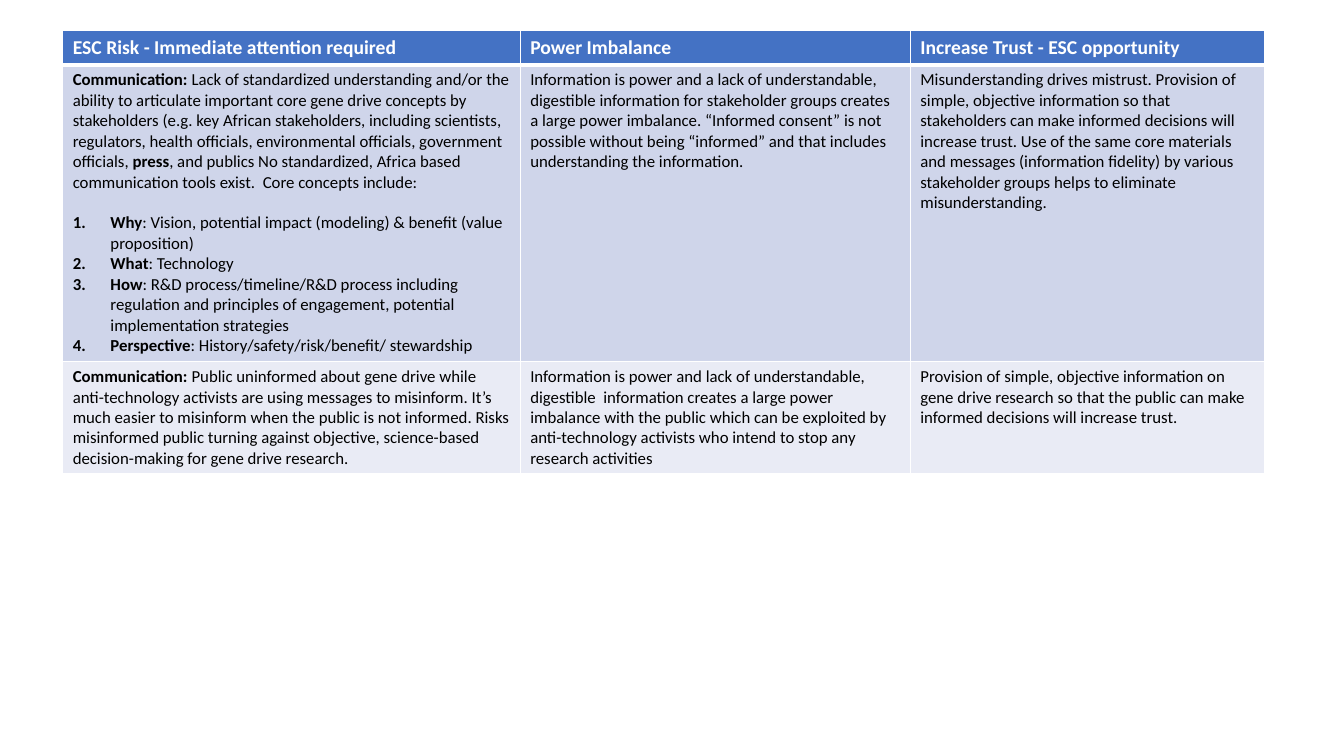
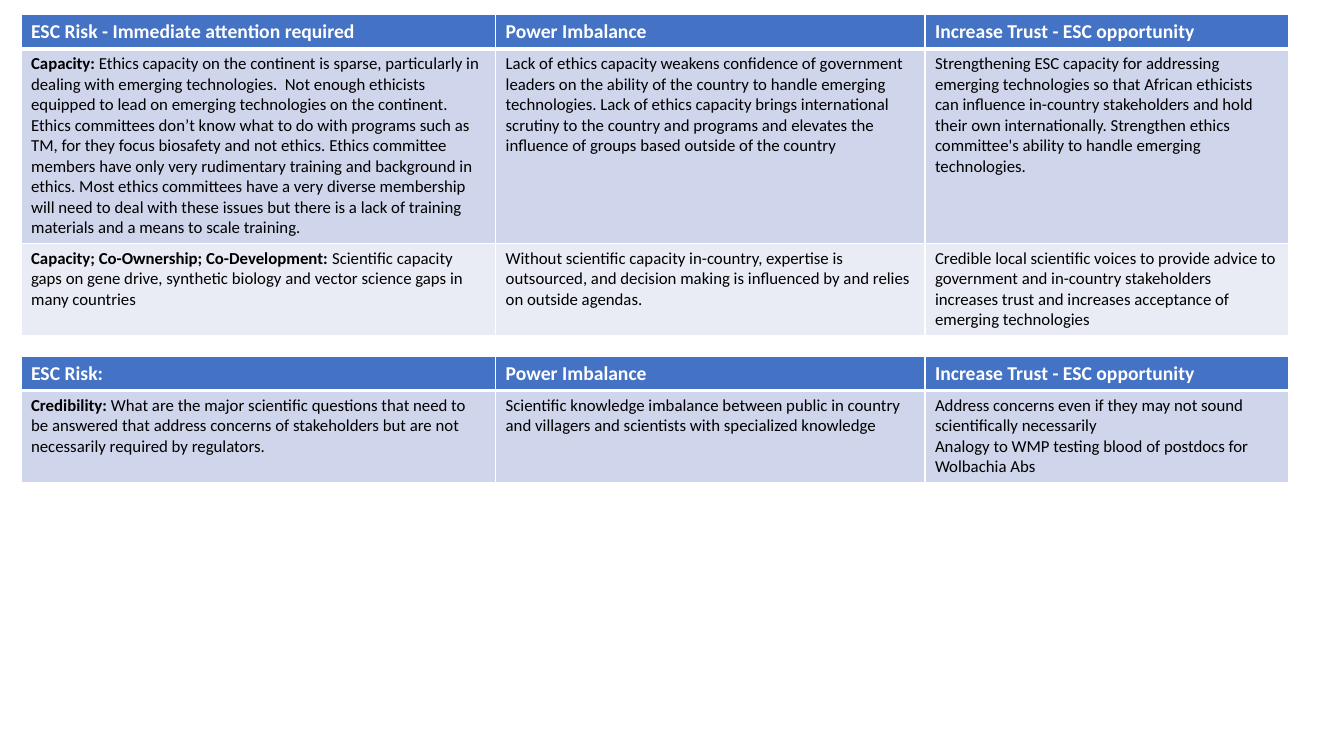
"""Build two slides of risk, power and trust tables."""
from lxml.etree import SubElement as Sub
from pptx import Presentation
from pptx.dml.color import RGBColor as RGB
from pptx.oxml.ns import qn
from pptx.util import Cm, Pt

BLUE = RGB(0x44, 0x72, 0xC4)
MIST = RGB(0xCF, 0xD5, 0xEA)
PALE = RGB(0xE9, 0xEB, 0xF5)
WHITE = RGB(0xFF, 0xFF, 0xFF)
BLACK = RGB(0, 0, 0)
HEAD = 0.86
POWER, TRUST = "Power Imbalance", "Increase Trust - ESC opportunity"
RISK = "ESC Risk - Immediate attention required"


class Deck:
    font = "Calibri"
    indent = Cm(0.95)

    def __init__(self):
        self.prs = Presentation()
        self.prs.slide_width, self.prs.slide_height = Cm(33.87), Cm(19.05)
        self.slide = None

    def page(self):
        self.slide = self.prs.slides.add_slide(self.prs.slide_layouts[6])

    def table(self, left, top, widths, heights, rows):
        frame = self.slide.shapes.add_table(
            len(rows), len(widths), Cm(left), Cm(top),
            Cm(sum(widths)), Cm(sum(heights)))
        grid = frame.table
        for col, width in zip(grid.columns, widths):
            col.width = Cm(width)
        for row, height in zip(grid.rows, heights):
            row.height = Cm(height)
        for r, texts in enumerate(rows):
            for c, text in enumerate(texts):
                self.cell(grid.cell(r, c), r, text)

    def cell(self, cell, row, text):
        head = row == 0
        self.edge(cell, "lnL", 1)
        self.edge(cell, "lnR", 1)
        self.edge(cell, "lnT", 3 if row == 1 else 1)
        self.edge(cell, "lnB", 3 if head else 1)
        cell.fill.solid()
        cell.fill.fore_color.rgb = BLUE if head else (MIST if row % 2 else PALE)
        frame = cell.text_frame
        listed = False
        for i, line in enumerate(text.split("\n")):
            para = frame.add_paragraph() if i else frame.paragraphs[0]
            item = line.startswith("#")
            self.words(para, line.lstrip("#"), head)
            if item:
                self.number(para)
                if not listed:
                    para.space_before = Pt(14.6)
            listed = item

    def edge(self, cell, side, width):
        line = Sub(cell._tc.get_or_add_tcPr(), qn(f"a:{side}"), w=str(Pt(width)))
        fill = Sub(line, qn("a:solidFill"))
        Sub(fill, qn("a:srgbClr"), val=str(WHITE))

    def words(self, para, text, head):
        font = para.font
        font.name, font.size = self.font, Pt(14 if head else 12)
        font.color.rgb = WHITE if head else BLACK
        font.bold = head
        for i, part in enumerate(text.split("*")):
            if part:
                run = para.add_run()
                run.text = part
                if i % 2:
                    run.font.bold = True

    def number(self, para):
        props = para._p.get_or_add_pPr()
        props.set("marL", str(self.indent))
        props.set("indent", str(-self.indent))
        mark = Sub(props, qn("a:buAutoNum"), type="arabicPeriod")
        props.find(qn("a:defRPr")).addprevious(mark)


deck = Deck()

deck.page()
deck.table(1.58, 0.77, (11.53, 9.83, 8.94), (HEAD, 7.48, 2.83), [
    (RISK, POWER, TRUST),
    ("*Communication: *Lack of standardized understanding and/or the ability "
     "to articulate important core gene drive concepts by stakeholders (e.g. "
     "key African stakeholders, including scientists, regulators, health "
     "officials, environmental officials, government officials, *press*, and "
     "publics No standardized, Africa based communication tools exist.  Core "
     "concepts include:\n"
     "#*Why*: Vision, potential impact (modeling) & benefit (value proposition)\n"
     "#*What*: Technology\n"
     "#*How*: R&D process/timeline/R&D process including regulation and "
     "principles of engagement, potential implementation strategies\n"
     "#*Perspective*: History/safety/risk/benefit/ stewardship",
     "Information is power and a lack of understandable, digestible "
     "information for stakeholder groups creates a large power imbalance. "
     "“Informed consent” is not possible without being “informed” and that "
     "includes understanding the information.",
     "Misunderstanding drives mistrust. Provision of simple, objective "
     "information so that stakeholders can make informed decisions will "
     "increase trust. Use of the same core materials and messages "
     "(information fidelity) by various stakeholder groups helps to "
     "eliminate misunderstanding."),
    ("*Communication: *Public uninformed about gene drive while "
     "anti-technology activists are using messages to misinform. It’s much "
     "easier to misinform when the public is not informed. Risks misinformed "
     "public turning against objective, science-based decision-making for "
     "gene drive research.",
     "Information is power and lack of understandable, digestible  "
     "information creates a large power imbalance with the public which can "
     "be exploited by anti-technology activists who intend to stop any "
     "research activities",
     "Provision of simple, objective information on gene drive research so "
     "that the public can make informed decisions will increase trust."),
])

deck.page()
wide = (11.96, 10.82, 9.17)
deck.table(0.53, 0.37, wide, (HEAD, 4.9, 2.31), [
    (RISK, POWER, TRUST),
    ("*Capacity: *Ethics capacity on the continent is sparse, particularly in "
     "dealing with emerging technologies.  Not enough ethicists equipped to "
     "lead on emerging technologies on the continent. Ethics committees don’t "
     "know what to do with programs such as TM, for they focus biosafety and "
     "not ethics. Ethics committee members have only very rudimentary "
     "training and background in ethics. Most ethics committees have a very "
     "diverse membership will need to deal with these issues but there is a "
     "lack of training materials and a means to scale training.",
     "Lack of ethics capacity weakens confidence of government leaders on "
     "the ability of the country to handle emerging technologies. Lack of "
     "ethics capacity brings international scrutiny to the country and "
     "programs and elevates the influence of groups based outside of the "
     "country",
     "Strengthening ESC capacity for addressing emerging technologies so "
     "that African ethicists can influence in-country stakeholders and hold "
     "their own internationally. Strengthen ethics committee's ability to "
     "handle emerging technologies."),
    ("*Capacity; Co-Ownership; Co-Development: *Scientific capacity gaps on "
     "gene drive, synthetic biology and vector science gaps in many countries",
     "Without scientific capacity in-country, expertise is outsourced, and "
     "decision making is influenced by and relies on outside agendas.",
     "Credible local scientific voices to provide advice to government and "
     "in-country stakeholders increases trust and increases acceptance of "
     "emerging technologies"),
])
deck.table(0.53, 8.98, wide, (HEAD, 2.31), [
    ("ESC Risk:", POWER, TRUST),
    ("*Credibility: *What are the major scientific questions that need to be "
     "answered that address concerns of stakeholders but are not necessarily "
     "required by regulators.",
     "Scientific knowledge imbalance between public in country and villagers "
     "and scientists with specialized knowledge",
     "Address concerns even if they may not sound scientifically necessarily\n"
     "Analogy to WMP testing blood of postdocs for Wolbachia Abs"),
])

deck.prs.save("out.pptx")
